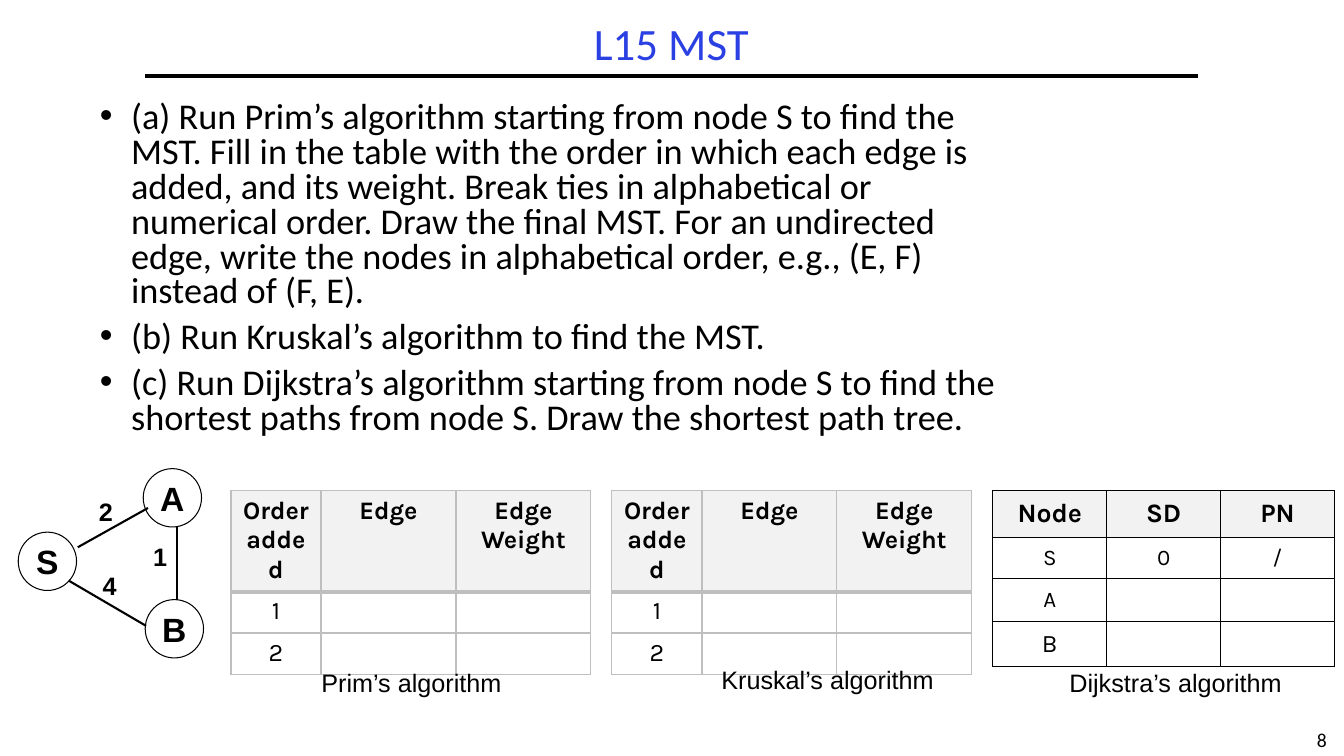
from lxml.etree import SubElement
from pptx import Presentation
from pptx.dml.color import RGBColor
from pptx.enum.shapes import MSO_CONNECTOR, MSO_SHAPE
from pptx.enum.text import MSO_ANCHOR, MSO_AUTO_SIZE, PP_ALIGN
from pptx.oxml.ns import qn
from pptx.util import Cm, Pt

COLORS = {
    "black": "000000",
    "white": "FFFFFF",
    "title": "2A40E2",
    "header": "F2F2F2",
    "grid": "BFBFBF",
}
TABLE_TOP = 12.37
NODE_SIZE = 1.47

QUESTIONS = [
    "(a) Run Prim’s algorithm starting from node S to find the MST. Fill in the table "
    "with the order in which each edge is added, and its weight. Break ties in "
    "alphabetical or numerical order. Draw the final MST. For an undirected edge, write "
    "the nodes in alphabetical order, e.g., (E, F) instead of (F, E).",
    "(b) Run Kruskal’s algorithm to find the MST.",
    "(c) Run Dijkstra’s algorithm starting from node S to find the shortest paths from "
    "node S. Draw the shortest path tree.",
]
EDGE_ROWS = [["Order added", "Edge", "Edge Weight"], ["1", "", ""], ["2", "", ""]]
PATH_ROWS = [["Node", "SD", "PN"], ["S", "0", "/"], ["A", "", ""], ["B", "", ""]]


def color(name):
    return RGBColor.from_string(COLORS[name])


def style(para, size, name="Arial", tint="black", bold=False):
    para.font.size = Pt(size)
    para.font.name = name
    para.font.bold = bold
    para.font.color.rgb = color(tint)


def place(shape, left, top, width, height):
    shape.left, shape.top = Cm(left), Cm(top)
    shape.width, shape.height = Cm(width), Cm(height)


def fill_title(title):
    place(title, 3.66, 0.43, 26.52, 1.47)
    frame = title.text_frame
    frame.text = "L15 MST"
    frame.auto_size = MSO_AUTO_SIZE.NONE
    frame.vertical_anchor = MSO_ANCHOR.MIDDLE
    para = frame.paragraphs[0]
    para.alignment = PP_ALIGN.CENTER
    para.line_spacing = 0.9
    style(para, 32, "Calibri", "title")


def fill_questions(body):
    place(body, 2.26, 2.44, 23.8, 9.32)
    frame = body.text_frame
    frame.text = "\n".join(QUESTIONS)
    frame.auto_size = MSO_AUTO_SIZE.NONE
    for index, para in enumerate(frame.paragraphs):
        para.line_spacing = 0.8
        para.space_before = Pt(7.8 if index else 0)
        properties = para._p.get_or_add_pPr()
        properties.set("marL", str(Cm(0.79)))
        properties.set("indent", str(-Cm(0.79)))
        SubElement(properties, qn("a:buFont"), typeface="Arial")
        SubElement(properties, qn("a:buChar"), char="•")
        style(para, 25.9, "Calibri")


def add_text(page, text, left, top, width, height=1.02, size=18, name="Arial",
             bold=False, wrap=False, align=PP_ALIGN.LEFT):
    box = page.shapes.add_textbox(Cm(left), Cm(top), Cm(width), Cm(height))
    box.text_frame.word_wrap = wrap
    box.text_frame.text = text
    para = box.text_frame.paragraphs[0]
    para.alignment = align
    style(para, size, name, bold=bold)


def add_line(page, start, end, weight):
    line = page.shapes.add_connector(
        MSO_CONNECTOR.STRAIGHT, Cm(start[0]), Cm(start[1]), Cm(end[0]), Cm(end[1]))
    line.line.color.rgb = color("black")
    line.line.width = Pt(weight)
    SubElement(line._element.spPr, qn("a:effectLst"))


def add_node(page, letter, left, top):
    node = page.shapes.add_shape(
        MSO_SHAPE.OVAL, Cm(left), Cm(top), Cm(NODE_SIZE), Cm(NODE_SIZE))
    node.shadow.inherit = False
    node.fill.solid()
    node.fill.fore_color.rgb = color("white")
    node.line.color.rgb = color("black")
    node.line.width = Pt(0.75)
    frame = node.text_frame
    frame.word_wrap = False
    frame.vertical_anchor = MSO_ANCHOR.MIDDLE
    frame.text = letter
    frame.paragraphs[0].alignment = PP_ALIGN.CENTER
    style(frame.paragraphs[0], 24, bold=True)


def set_borders(cell, tint, weights):
    properties = cell._tc.get_or_add_tcPr()
    for index, (side, weight) in enumerate(zip("LRTB", weights)):
        border = properties.makeelement(qn(f"a:ln{side}"), w=str(Pt(weight)))
        fill = SubElement(border, qn("a:solidFill"))
        SubElement(fill, qn("a:srgbClr"), val=COLORS[tint])
        properties.insert(index, border)


def add_table(page, rows, left, widths, heights, sizes, tint, weight, rule,
              margin=None, anchor=MSO_ANCHOR.TOP):
    table = page.shapes.add_table(
        len(rows), len(widths), Cm(left), Cm(TABLE_TOP),
        Cm(sum(widths)), Cm(sum(heights))).table
    for column, width in zip(table.columns, widths):
        column.width = Cm(width)
    for r, row in enumerate(rows):
        table.rows[r].height = Cm(heights[r])
        for c, text in enumerate(row):
            cell = table.cell(r, c)
            cell.fill.solid()
            cell.fill.fore_color.rgb = color("white" if r else "header")
            set_borders(cell, tint, (weight, weight, rule if r == 1 else weight,
                                     weight if r else rule))
            cell.vertical_anchor = anchor
            if margin:
                cell.margin_left = cell.margin_right = Cm(margin)
                cell.margin_top = cell.margin_bottom = Cm(margin)
            cell.text = text
            para = cell.text_frame.paragraphs[0]
            para.alignment = PP_ALIGN.CENTER
            style(para, sizes[r], "Karla", bold=r == 0)


def add_graph(page):
    for letter, left, top in (("S", 0.46, 13.41), ("A", 3.61, 11.81), ("B", 3.66, 15.11)):
        add_node(page, letter, left, top)
    edges = [
        ((1.96, 13.79), (3.73, 12.8), "2", 2.24, 12.37),
        ((4.45, 13.28), (4.45, 15.11), "1", 3.61, 13.51),
        ((1.73, 14.63), (3.68, 15.77), "4", 2.34, 14.25),
    ]
    for start, end, weight, left, top in edges:
        add_line(page, start, end, 1.5)
        add_text(page, weight, left, top, 1.2, bold=True, wrap=True)


def main():
    deck = Presentation()
    deck.slide_width, deck.slide_height = Cm(33.87), Cm(19.05)
    page = deck.slides.add_slide(deck.slide_layouts[1])
    add_line(page, (3.66, 1.91), (30.2, 1.91), 3)
    fill_title(page.shapes.title)
    fill_questions(page.placeholders[1])
    add_graph(page)
    for left in (5.82, 15.42):
        add_table(page, EDGE_ROWS, left, (2.27, 3.4, 3.4), [1.04] * 3, [18] * 3,
                  "grid", 1, 3)
    add_table(page, PATH_ROWS, 25.02, [2.87] * 3, (1.14, 1.04, 1.09, 1.09),
              (19, 16, 16, 18), "black", 0.75, 0.75, 0.18, MSO_ANCHOR.MIDDLE)
    add_text(page, "Prim’s algorithm", 7.85, 16.69, 5.11)
    add_text(page, "Kruskal’s algorithm", 17.93, 16.61, 5.92)
    add_text(page, "Dijkstra’s algorithm", 26.7, 16.69, 5.92)
    add_text(page, "8", 32.77, 18.21, 1.09, 0.84, 14, "Calibri", align=PP_ALIGN.CENTER)
    deck.save("out.pptx")


if __name__ == "__main__":
    main()
